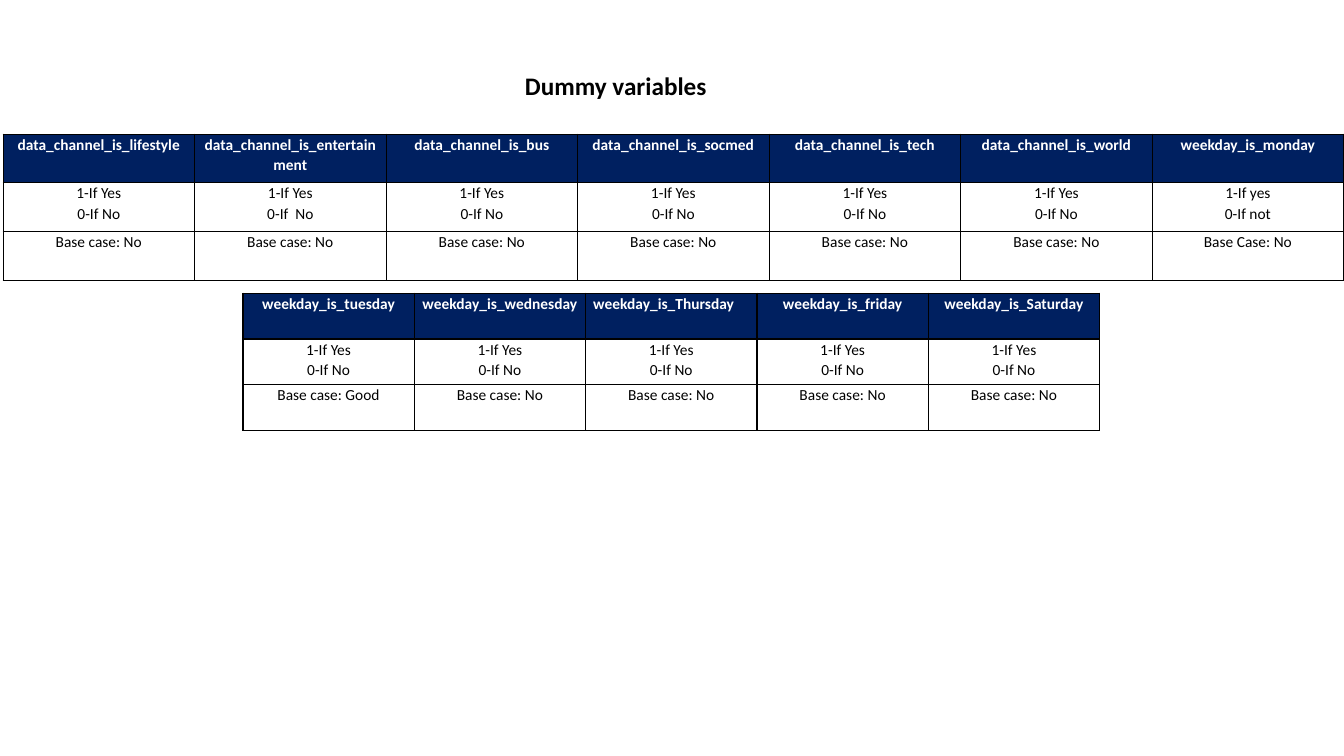
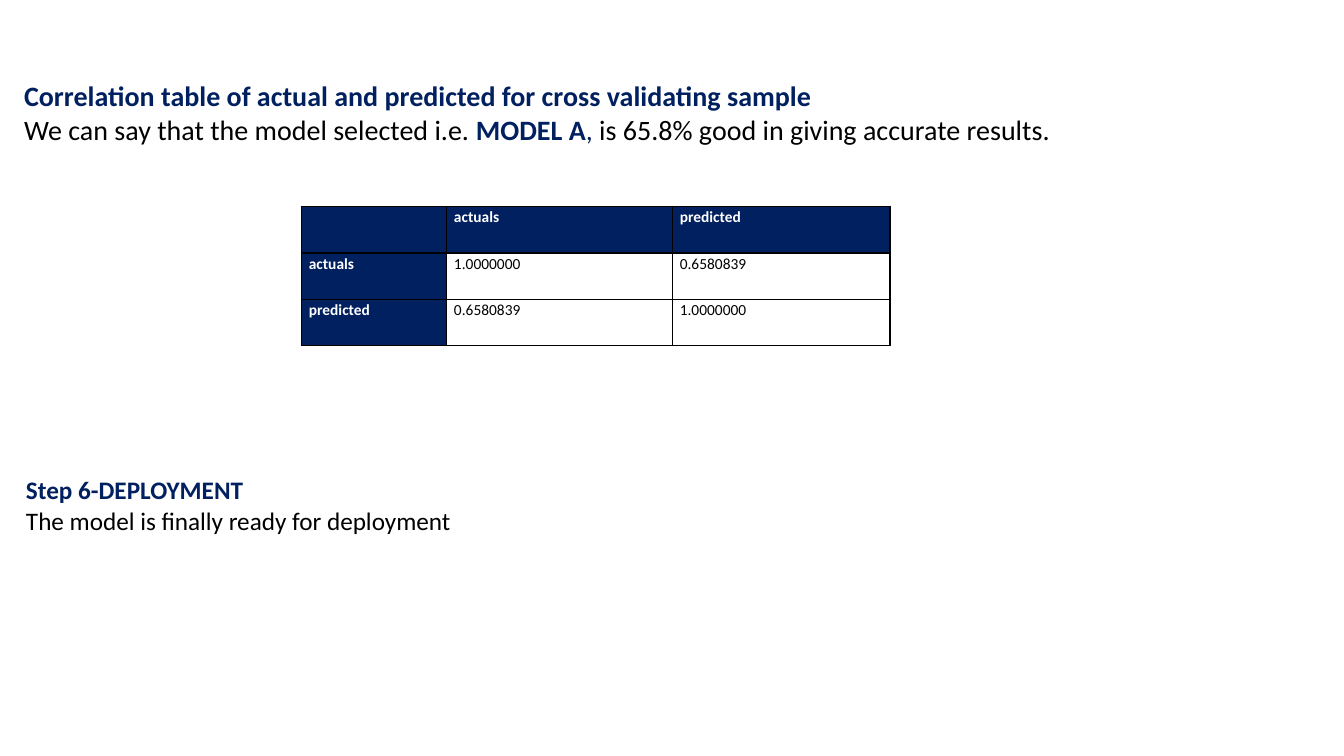
import pptx
import pptx.util
import pptx.dml.color
import pptx.enum.text
import pptx.oxml
import pptx.oxml.ns

Pt = pptx.util.Pt
RGB = pptx.dml.color.RGBColor
ALIGN = pptx.enum.text.PP_ALIGN

NAVY = RGB(0x00, 0x20, 0x60)
BLACK = RGB(0x00, 0x00, 0x00)
WHITE = RGB(0xFF, 0xFF, 0xFF)
FONT = "Calibri"
YES_NO = "1-If Yes\n0-If No"
BASE = "Base case: No"


def style(font, size, color, bold=False):
    font.name = FONT
    font.size = Pt(size)
    font.color.rgb = color
    font.bold = bold


def border(cell):
    """Draw a thin black line on all four sides of the cell."""
    props = cell._tc.get_or_add_tcPr()
    for spot, side in enumerate(("lnL", "lnR", "lnT", "lnB")):
        line = pptx.oxml.parse_xml(
            f'<a:{side} {pptx.oxml.ns.nsdecls("a")} w="{Pt(1)}"><a:solidFill>'
            f'<a:srgbClr val="{BLACK}"/></a:solidFill></a:{side}>')
        props.insert(spot, line)


def fill_cell(cell, text, head, align):
    cell.margin_left = cell.margin_right = Pt(5.4)
    cell.margin_top = cell.margin_bottom = Pt(0)
    if head:
        cell.fill.solid()
        cell.fill.fore_color.rgb = NAVY
    else:
        cell.fill.background()
    border(cell)
    cell.text = text
    for para in cell.text_frame.paragraphs:
        para.alignment = align
        para.line_spacing = 1.07
        style(para.font, 11, WHITE if head else BLACK, head)


def add_grid(slide, left, top, widths, height, rows, align, side=False):
    """Add a table with a navy top row and, if side is set, a navy first column."""
    table = slide.shapes.add_table(
        len(rows), len(widths), Pt(left), Pt(top),
        Pt(sum(widths)), Pt(height * len(rows))).table
    table.first_row = table.horz_banding = False
    for col, width in zip(table.columns, widths):
        col.width = Pt(width)
    for r, texts in enumerate(rows):
        table.rows[r].height = Pt(height)
        for c, text in enumerate(texts):
            fill_cell(table.cell(r, c), text, r == 0 or (side and c == 0), align)
    return table


def add_text(slide, left, top, width, height, size, lines, pad=7.2):
    """Add lines, each a list of (text, color, bold) runs."""
    frame = slide.shapes.add_textbox(
        Pt(left), Pt(top), Pt(width), Pt(height)).text_frame
    frame.word_wrap = True
    frame.margin_left = frame.margin_right = Pt(pad)
    frame.margin_top = frame.margin_bottom = Pt(pad / 2)
    for i, runs in enumerate(lines):
        para = frame.add_paragraph() if i else frame.paragraphs[0]
        for text, color, bold in runs:
            run = para.add_run()
            run.text = text
            style(run.font, size, color, bold)


def dummy_slide(slide):
    names = ["lifestyle", "entertainment", "bus", "socmed", "tech", "world"]
    heads = [f"data_channel_is_{name}" for name in names] + ["weekday_is_monday"]
    codes = [YES_NO] * 6 + ["1-If yes\n0-If not"]
    codes[1] = "1-If Yes\n0-If  No"
    bases = [BASE] * 6 + ["Base Case: No"]
    add_grid(slide, 2.2, 95.8, [136.8] * 7, 34.8,
             [heads, codes, bases], ALIGN.CENTER)

    days = ["tuesday", "wednesday", "Thursday", "friday", "Saturday"]
    week = add_grid(slide, 173.5, 209.5, [122.4] * 5, 32.6,
                    [[f"weekday_is_{day}" for day in days], [YES_NO] * 5,
                     ["Base case: Good"] + [BASE] * 4], ALIGN.CENTER)
    thursday = week.cell(0, days.index("Thursday"))
    thursday.text_frame.paragraphs[0].alignment = ALIGN.LEFT

    add_text(slide, 367.9, 46.8, 178.6, 29, 18,
             [[("Dummy variables", BLACK, True)]])


def result_slide(slide):
    add_grid(slide, 215.2, 147.5, [103.7, 161.3, 155.5], 33.2,
             [["", "actuals", "predicted"],
              ["actuals", "1.0000000", "0.6580839"],
              ["predicted", "0.6580839", "1.0000000"]], ALIGN.LEFT, side=True)
    add_text(slide, 17.2, 56.4, 942.5, 49, 20, [
        [("Correlation table of actual and predicted for cross validating sample",
          NAVY, True)],
        [("We can say that the model selected i.e. ", BLACK, False),
         ("MODEL A", NAVY, True),
         (", ", NAVY, False),
         ("is 65.8% good in giving accurate results.", BLACK, False)]], pad=0)
    add_text(slide, 11.5, 335.5, 875.5, 51, 18, [
        [("Step 6-DEPLOYMENT", NAVY, True)],
        [("The model is finally ready for deployment", BLACK, False)]])


def main():
    deck = pptx.Presentation()
    deck.slide_width, deck.slide_height = Pt(960), Pt(540)
    for build in (dummy_slide, result_slide):
        build(deck.slides.add_slide(deck.slide_layouts[6]))
    deck.save("out.pptx")


if __name__ == "__main__":
    main()
